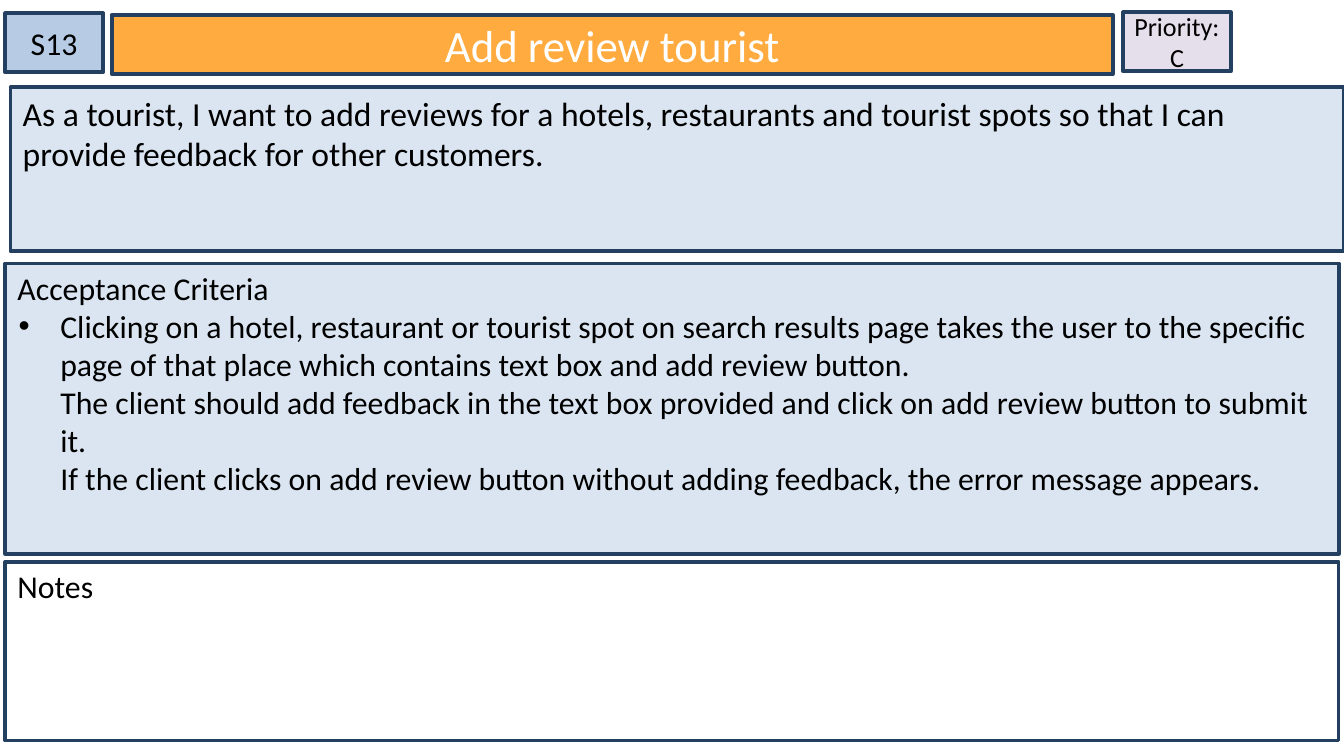
from lxml import etree
from pptx import Presentation
from pptx.dml.color import RGBColor
from pptx.enum.shapes import MSO_SHAPE
from pptx.enum.text import MSO_ANCHOR, MSO_AUTO_SIZE, PP_ALIGN
from pptx.oxml.ns import qn
from pptx.util import Cm, Pt

RECTANGLE = MSO_SHAPE.RECTANGLE
TOP, MIDDLE = MSO_ANCHOR.TOP, MSO_ANCHOR.MIDDLE
LEFT, CENTER = PP_ALIGN.LEFT, PP_ALIGN.CENTER
FONT = "Calibri"
COLORS = {
    "border": "244061", "title": "FFAB40", "priority": "E5DFEC",
    "story_id": "B7CCE4", "panel": "DAE5F1", "notes": "FFFFFF",
    "text": "000000", "title_text": "FFFFFF",
}
TAG_HEIGHT = 1.12
PANEL_WIDTH = 25.2
CRITERIA = [
    "Clicking on a hotel, restaurant or tourist spot on search results page "
    "takes the user to the specific page of that place which contains text box "
    "and add review button.",
    "The client should add feedback in the text box provided and click on add "
    "review button to submit it.",
    "If the client clicks on add review button without adding feedback, "
    "the error message appears.",
]


def color(key):
    """Return the named colour."""
    return RGBColor.from_string(COLORS[key])


def style_box(box, bounds, fill, anchor=TOP, side=0.23):
    """Place a box and give it the card's fill, border and margins."""
    box.left, box.top, box.width, box.height = (Cm(v) for v in bounds)
    box.shadow.inherit = False
    box.fill.solid()
    box.fill.fore_color.rgb = color(fill)
    box.line.color.rgb = color("border")
    box.line.width = Pt(2)
    frame = box.text_frame
    frame.word_wrap = True
    frame.auto_size = MSO_AUTO_SIZE.NONE
    frame.vertical_anchor = anchor
    frame.margin_left = frame.margin_right = Cm(side)
    frame.margin_top = frame.margin_bottom = Cm(0.1)


def add_run(paragraph, text, size, ink="text"):
    """Add one formatted run."""
    run = paragraph.add_run()
    run.text = text
    run.font.name = FONT
    run.font.size = Pt(size)
    run.font.color.rgb = color(ink)


def write_lines(box, lines, size, align, ink="text"):
    """Write each line as a paragraph."""
    frame = box.text_frame
    for index, line in enumerate(lines):
        paragraph = frame.add_paragraph() if index else frame.paragraphs[0]
        paragraph.alignment = align
        add_run(paragraph, line, size, ink)


def set_bullet(paragraph, char=None):
    """Set a hanging bullet, or no bullet when no character is given."""
    paragraph.space_before = Pt(0)
    props = paragraph._p.get_or_add_pPr()
    props.set("marL", str(Cm(0.81) if char else 0))
    props.set("indent", str(Cm(-0.79) if char else 0))
    if char:
        bullet_color = etree.SubElement(props, qn("a:buClr"))
        etree.SubElement(bullet_color, qn("a:srgbClr"), val=COLORS["text"])
        etree.SubElement(props, qn("a:buFont"), typeface="Arial")
        etree.SubElement(props, qn("a:buChar"), char=char)
    else:
        etree.SubElement(props, qn("a:buNone"))


def add_box(slide, bounds, fill, lines, size, align=LEFT, **style):
    """Add a rectangle with text."""
    box = slide.shapes.add_shape(RECTANGLE, *(Cm(v) for v in bounds))
    style_box(box, bounds, fill, **style)
    write_lines(box, lines, size, align)


def fill_title(title, bounds):
    """Format the story title bar."""
    style_box(title, bounds, "title", MIDDLE)
    write_lines(title, ["Add review tourist"], 24, CENTER, "title_text")


def fill_criteria(body, bounds):
    """Write the acceptance criteria under their heading."""
    style_box(body, bounds, "panel")
    write_lines(body, ["Acceptance Criteria"], 17, LEFT)
    set_bullet(body.text_frame.paragraphs[0])
    item = body.text_frame.add_paragraph()
    item.alignment = LEFT
    set_bullet(item, "•")
    for index, criterion in enumerate(CRITERIA):
        if index:
            item.add_line_break()
        add_run(item, criterion, 17)


def build_story_card(slide):
    """Lay out the user story card."""
    fill_title(slide.shapes.title, (2.11, 0.28, 18.92, TAG_HEIGHT))
    add_box(slide, (21.23, 0.23, 2.03, TAG_HEIGHT), "priority",
            ["Priority:", "C"], 14, CENTER, anchor=MIDDLE, side=0)
    add_box(slide, (0.1, 0.25, 1.85, TAG_HEIGHT), "story_id",
            ["S13"], 17, CENTER, anchor=MIDDLE, side=0)
    add_box(slide, (0.2, 1.65, PANEL_WIDTH, 3.1), "panel",
            ["As a tourist, I want to add reviews for a hotels, restaurants and "
             "tourist spots so that I can provide feedback for other customers."], 18)
    fill_criteria(slide.placeholders[1], (0.1, 4.98, PANEL_WIDTH, 5.49))
    add_box(slide, (0.1, 10.62, PANEL_WIDTH, 3.38), "notes", ["Notes"], 17)


presentation = Presentation()
presentation.slide_width, presentation.slide_height = Cm(25.4), Cm(14.29)
build_story_card(presentation.slides.add_slide(presentation.slide_layouts[1]))
presentation.save("out.pptx")
